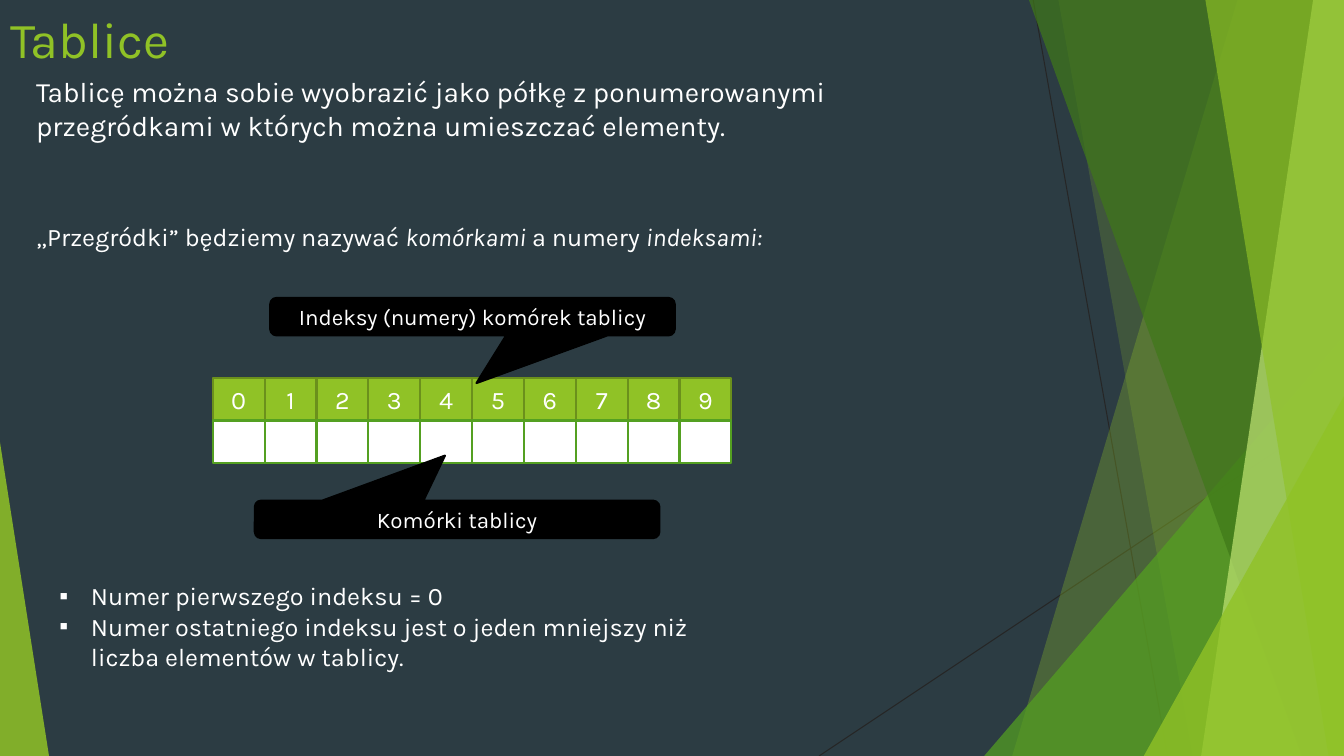
"""Build a slide that explains arrays as numbered shelves."""
from lxml import etree
from pptx import Presentation
from pptx.dml.color import RGBColor
from pptx.enum.shapes import MSO_CONNECTOR, MSO_SHAPE
from pptx.enum.text import MSO_ANCHOR, MSO_AUTO_SIZE, PP_ALIGN
from pptx.oxml.ns import qn
from pptx.util import Pt

STRAIGHT = MSO_CONNECTOR.STRAIGHT
RECTANGLE = MSO_SHAPE.RECTANGLE
TRIANGLE = MSO_SHAPE.ISOSCELES_TRIANGLE
CALLOUT = MSO_SHAPE.ROUNDED_RECTANGULAR_CALLOUT
TOP, MIDDLE = MSO_ANCHOR.TOP, MSO_ANCHOR.MIDDLE
LEFT, CENTER = PP_ALIGN.LEFT, PP_ALIGN.CENTER
NO_FIT = MSO_AUTO_SIZE.NONE

THEME = {
    "font": "Karla",
    "slate": "2C3C43", "white": "FFFFFF", "black": "000000", "ray": "262626",
    "lime": "90C226", "olive": "6B901C", "green": "54A021",
    "forest": "3F7819", "pale": "C0E474",
    "title": 36, "lead": 20, "text": 18, "label": 16,
}


def paint(shape, fill, line=None, opacity=100):
    """Give a shape a flat fill, an optional outline and no shadow."""
    shape.shadow.inherit = False
    shape.fill.solid()
    shape.fill.fore_color.rgb = RGBColor.from_string(THEME[fill])
    if opacity < 100:
        color = shape.element.spPr.find(".//" + qn("a:srgbClr"))
        etree.SubElement(color, qn("a:alpha"), val=str(opacity * 1000))
    if line:
        shape.line.color.rgb = RGBColor.from_string(THEME[line])
        shape.line.width = Pt(1.5)
    else:
        shape.line.fill.background()


def write(shape, paragraphs, size, color="white", anchor=TOP, align=LEFT, before=0, bullet=None):
    """Fill a shape with paragraphs, each a list of (text, italic) spans."""
    frame = shape.text_frame
    frame_format = {"word_wrap": True, "auto_size": NO_FIT, "vertical_anchor": anchor}
    for name, value in frame_format.items():
        setattr(frame, name, value)
    para_format = {"alignment": align, "space_before": Pt(before), "space_after": Pt(0), "line_spacing": 1.0}
    font_format = {"name": THEME["font"], "size": Pt(THEME[size]), "bold": False}
    for number, spans in enumerate(paragraphs):
        para = frame.add_paragraph() if number else frame.paragraphs[0]
        for name, value in para_format.items():
            setattr(para, name, value)
        indent = Pt(22.5) if bullet else 0
        properties = para._p.get_or_add_pPr()
        properties.set("marL", str(indent))
        properties.set("indent", str(-indent))
        if bullet:
            etree.SubElement(properties, qn("a:buChar"), char=bullet)
        else:
            etree.SubElement(properties, qn("a:buNone"))
        for text, italic in spans:
            span = para.add_run()
            span.text = text
            for name, value in font_format.items():
                setattr(span.font, name, value)
            span.font.italic = italic
            span.font.color.rgb = RGBColor.from_string(THEME[color])


deck = Presentation()
deck.slide_width, deck.slide_height = Pt(960), Pt(540)
page = deck.slides.add_slide(deck.slide_layouts.get_by_name("Two Content"))
page.background.fill.solid()
page.background.fill.fore_color.rgb = RGBColor.from_string(THEME["slate"])

rays = [(738, 0, 834, 540), (960, 290, 585, 540)]
for ends in rays:
    ray = page.shapes.add_connector(STRAIGHT, *map(Pt, ends))
    ray.line.color.rgb = RGBColor.from_string(THEME["ray"])
    ray.line.width = Pt(0.75)
    etree.SubElement(ray.element.spPr, qn("a:effectLst"))

bands = [
    (884, 723, "lime", 30),
    (756, 852, "lime", 20),
    (703, 240, 257, 300, 1, "green", 72),
    (735, 930, "forest", 70),
    (938, 858, "pale", 70),
    (861, 949, "lime", 65),
    (817, 283, 143, 257, 1, "lime", 80),
    (0, 316, 35, 224, 0, "lime", 85),
]
for *geometry, color, opacity in bands:
    if len(geometry) == 2:
        top_x, bottom_x = geometry
        outline = page.shapes.build_freeform(top_x, 0, scale=Pt(1))
        outline.add_line_segments([(960, 0), (960, 540), (bottom_x, 540)], close=True)
        band = outline.convert_to_shape()
    else:
        *place, apex = geometry
        band = page.shapes.add_shape(TRIANGLE, *map(Pt, place))
        band.adjustments[0] = apex
    paint(band, color, opacity=opacity)

title, definition, rules = page.placeholders
lead = page.shapes.add_textbox(0, 0, 0, 0)
places = [
    (title, (0, 2.2, 139, 53.3)),
    (definition, (18.7, 154.8, 614, 38)),
    (rules, (35.3, 411.1, 480, 72.7)),
    (lead, (18.7, 49.7, 580, 55.7)),
]
for box, place in places:
    for name, value in zip(("left", "top", "width", "height"), place):
        setattr(box, name, Pt(value))

write(title, [[("Tablice", False)]], "title", color="lime")
write(lead, [[("Tablicę można sobie wyobrazić jako półkę z ponumerowanymi "
               "przegródkami w których można umieszczać elementy.", False)]], "lead")
write(definition, [[("„Przegródki” będziemy nazywać ", False), ("komórkami", True),
                    (" a numery ", False), ("indeksami:", True)]], "text", before=10)
write(rules, [[("Numer pierwszego indeksu = 0", False)],
              [("Numer ostatniego indeksu jest o jeden mniejszy niż "
                "liczba elementów w tablicy.", False)]], "text", bullet="▪")

CELL_WIDTH, CELL_HEIGHT = 37.04, 30.4
for index in range(10):
    for row, (fill, line) in enumerate([("lime", "olive"), ("white", "green")]):
        cell = page.shapes.add_shape(
            RECTANGLE, Pt(152 + index * CELL_WIDTH), Pt(270 + row * CELL_HEIGHT),
            Pt(CELL_WIDTH), Pt(CELL_HEIGHT))
        paint(cell, fill, line)
        if row == 0:
            write(cell, [[(str(index), False)]], "text", anchor=MIDDLE, align=CENTER)

callouts = [
    ("Indeksy (numery) komórek tablicy", 193, 212.8, (0.01, 1.77, 0.17)),
    ("Komórki tablicy", 182, 357.6, (-0.03, -1.7, 0.17)),
]
for text, left, top, pointer in callouts:
    callout = page.shapes.add_shape(CALLOUT, Pt(left), Pt(top), Pt(289), Pt(26.8))
    for number, value in enumerate(pointer):
        callout.adjustments[number] = value
    paint(callout, "black", "black")
    write(callout, [[(text, False)]], "label", anchor=MIDDLE, align=CENTER)

deck.save("out.pptx")
